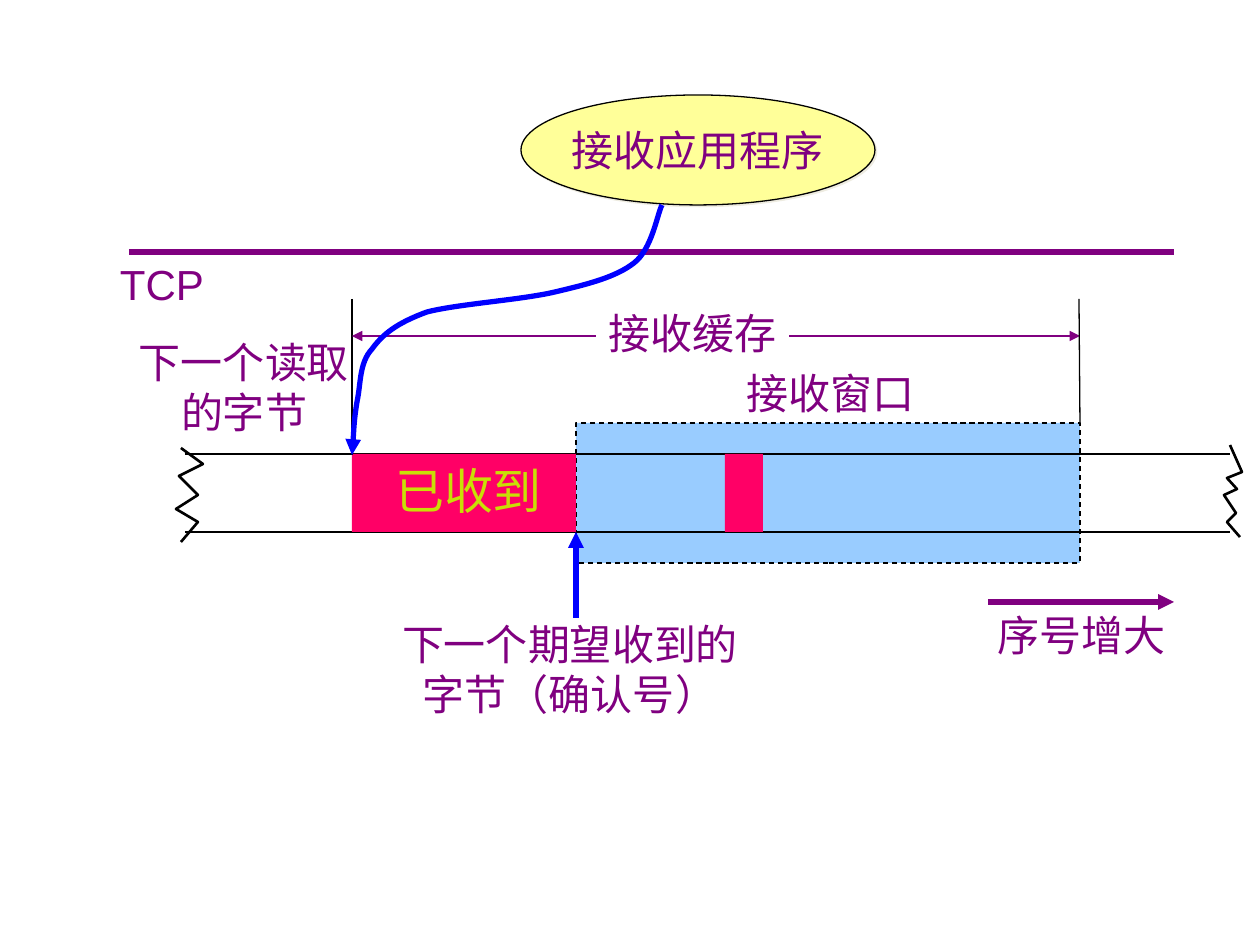
from lxml import etree
from pptx import Presentation
from pptx.dml.color import RGBColor
from pptx.enum.dml import MSO_LINE
from pptx.enum.shapes import MSO_CONNECTOR, MSO_SHAPE
from pptx.enum.text import MSO_ANCHOR, MSO_AUTO_SIZE, PP_ALIGN
from pptx.oxml.ns import qn
from pptx.util import Emu, Pt

SCALE = 914400 / 126
STRAIGHT = MSO_CONNECTOR.STRAIGHT
RECTANGLE, OVAL = MSO_SHAPE.RECTANGLE, MSO_SHAPE.OVAL
DASH = MSO_LINE.DASH
CENTER = PP_ALIGN.CENTER
TOP, MIDDLE = MSO_ANCHOR.TOP, MSO_ANCHOR.MIDDLE
GROW = MSO_AUTO_SIZE.SHAPE_TO_FIT_TEXT
FONT = "Arial"
COLORS = {
    "purple": "800080", "black": "000000", "white": "FFFFFF", "blue": "0000FF",
    "window": "99CCFF", "application": "FFFF99", "data": "FF0066",
    "received": "C9DE06", "shadow": "EEECE1",
}
THIN, MEDIUM, THICK = 0.74, 1.5, 3
SIDE_INSET = 6


def px(value):
    return Emu(round(value * SCALE))


def color(name):
    return RGBColor.from_string(COLORS[name])


def style_line(shape, name, width, head=False, tail=False):
    shape.line.color.rgb = color(name)
    shape.line.width = Pt(width)
    outline = shape.line._get_or_add_ln()
    for tag, wanted in (("a:headEnd", head), ("a:tailEnd", tail)):
        if wanted:
            etree.SubElement(outline, qn(tag), type="triangle")


def add_shadow(effects):
    shadow = etree.SubElement(effects, qn("a:outerShdw"), dist="17780", dir="2700000")
    etree.SubElement(shadow, qn("a:srgbClr"), val=COLORS["shadow"])


def add_line(slide, start, end, name="black", width=THIN, head=False, tail=False):
    line = slide.shapes.add_connector(STRAIGHT, *map(px, start + end))
    style_line(line, name, width, head, tail)
    etree.SubElement(line._element.spPr, qn("a:effectLst"))


def add_box(slide, kind, left, top, width, height, fill, outlined=False):
    shape = slide.shapes.add_shape(kind, px(left), px(top), px(width), px(height))
    shape.shadow.inherit = False
    shape.fill.solid()
    shape.fill.fore_color.rgb = color(fill)
    if outlined:
        style_line(shape, "black", THIN)
    else:
        shape.line.fill.background()
    return shape


def write(shape, lines, name="purple", size=24, anchor=TOP):
    frame = shape.text_frame
    frame.text = "\n".join(lines)
    frame.word_wrap = False
    frame.vertical_anchor = anchor
    frame.margin_left = frame.margin_right = px(SIDE_INSET)
    for paragraph in frame.paragraphs:
        paragraph.alignment = CENTER
        paragraph.font.name = FONT
        paragraph.font.size = Pt(size)
        paragraph.font.color.rgb = color(name)


def add_label(slide, left, top, width, height, *lines, **style):
    label = slide.shapes.add_textbox(px(left), px(top), px(width), px(height))
    write(label, lines, **style)
    label.text_frame.auto_size = GROW
    return label


def add_outline(slide, left, top, points, name, width, tail=False):
    first, *rest = [(left + x, top + y) for x, y in points]
    builder = slide.shapes.build_freeform(*first, scale=SCALE)
    builder.add_line_segments(rest, close=False)
    shape = builder.convert_to_shape()
    shape.shadow.inherit = False
    shape.fill.background()
    style_line(shape, name, width, tail=tail)
    return shape


def add_curve(slide, left, top, points, name, width):
    shape = add_outline(slide, left, top, points, name, width, tail=True)
    segments = list(shape._element.iter(qn("a:lnTo")))
    for index in range(0, len(segments), 3):
        first, *others = segments[index:index + 3]
        first.addprevious(curve := etree.Element(qn("a:cubicBezTo")))
        for segment in (first, *others):
            curve.append(segment[0])
            segment.getparent().remove(segment)


def draw_application(slide, left, top, width):
    ellipse = add_box(slide, OVAL, left + 392, top, 354, 110, "application", True)
    add_shadow(ellipse._element.spPr.find(qn("a:effectLst")))
    write(ellipse, ["接收应用程序"], anchor=MIDDLE)
    add_line(slide, (left, top + 157), (left + width, top + 157), "purple", THICK)
    add_label(slide, left - 21, top + 157, 108, 63, "TCP")


def draw_stream(slide, left, top, width, height):
    window = add_box(slide, RECTANGLE, left + 391, top - 31, 504, 140, "window", True)
    window.line.dash_style = DASH
    for y in (top, top + height):
        add_line(slide, (left, y), (left + width, y))
    for x, data_width in ((167, 224), (540, 38)):
        add_box(slide, RECTANGLE, left + x, top, data_width, height, "data")
    received = add_label(slide, left + 198, top, 171, 72, "已收到",
                         name="received", size=28)
    run = received.text_frame.paragraphs[0].runs[0]
    add_shadow(etree.SubElement(run.font._element, qn("a:effectLst")))
    add_label(slide, left + 549, top - 93, 193, 63, "接收窗口")
    left_break = [(-4, -6), (18, 10), (-6, 22), (13, 41), (-9, 55), (13, 68), (-4, 88)]
    right_break = [(0, -9), (12, 18), (-3, 24), (7, 35),
                   (-6, 41), (6, 59), (-3, 68), (10, 83)]
    for x, points in ((left, left_break), (left + width, right_break)):
        add_outline(slide, x, top, points, "black", MEDIUM)


def draw_buffer_span(slide, left, top, width):
    right = left + width
    add_line(slide, (left, top), (left, top + 156))
    add_line(slide, (left, top + 37), (right, top + 37), "purple", head=True, tail=True)
    label = add_box(slide, RECTANGLE, left + 244, top + 2, 193, 63, "white")
    write(label, ["接收缓存"])
    add_line(slide, (right - 1, top), (right, top + 124))


def draw_read_pointer(slide, left, top):
    points = [
        (310, 0), (305, 10), (300, 44), (282, 58),
        (264, 72), (237, 79), (203, 87), (169, 95), (106, 99), (75, 107),
        (45, 118), (31, 129), (20, 144), (7, 158), (9, 179), (5, 197),
        (2, 215), (1, 240), (0, 250),
    ]
    add_curve(slide, left, top, points, "blue", THICK)
    add_label(slide, left - 225, top + 125, 234, 113, "下一个读取", "的字节")


def draw_expected_pointer(slide, left, top, height):
    add_line(slide, (left, top + height), (left, top), "blue", THICK, tail=True)
    add_label(slide, left - 186, top + 80, 360, 113, "下一个期望收到的", "字节（确认号）")


def draw_sequence_direction(slide, left, top, width):
    add_line(slide, (left, top), (left + width, top), "purple", THICK, tail=True)
    add_label(slide, left - 3, top + 1, 193, 63, "序号增大")


def main():
    presentation = Presentation()
    presentation.slide_width, presentation.slide_height = px(1260), px(945)
    slide = presentation.slides.add_slide(presentation.slide_layouts[6])
    draw_application(slide, 129, 95, 1045)
    draw_stream(slide, 185, 454, 1045, 78)
    draw_buffer_span(slide, 352, 299, 728)
    draw_read_pointer(slide, 352, 205)
    draw_expected_pointer(slide, 576, 532, 86)
    draw_sequence_direction(slide, 988, 602, 186)
    presentation.save("out.pptx")


main()
